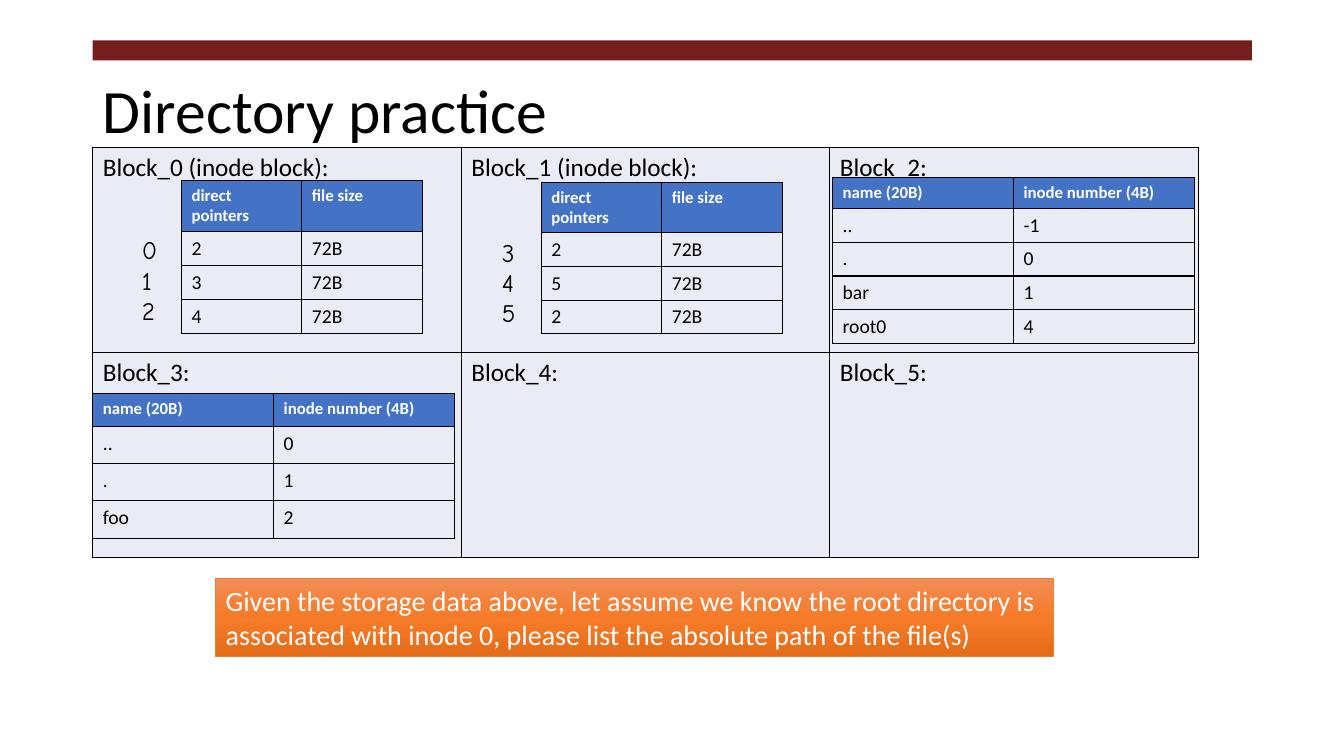
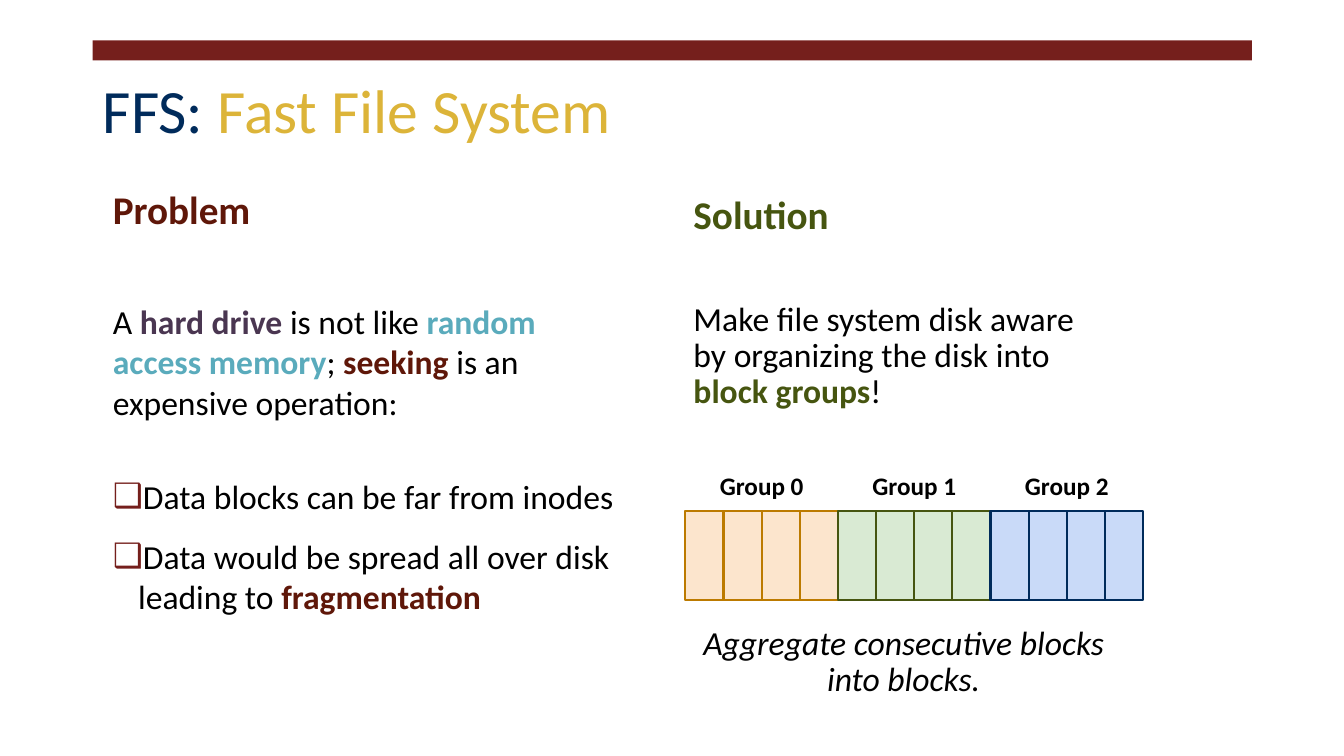
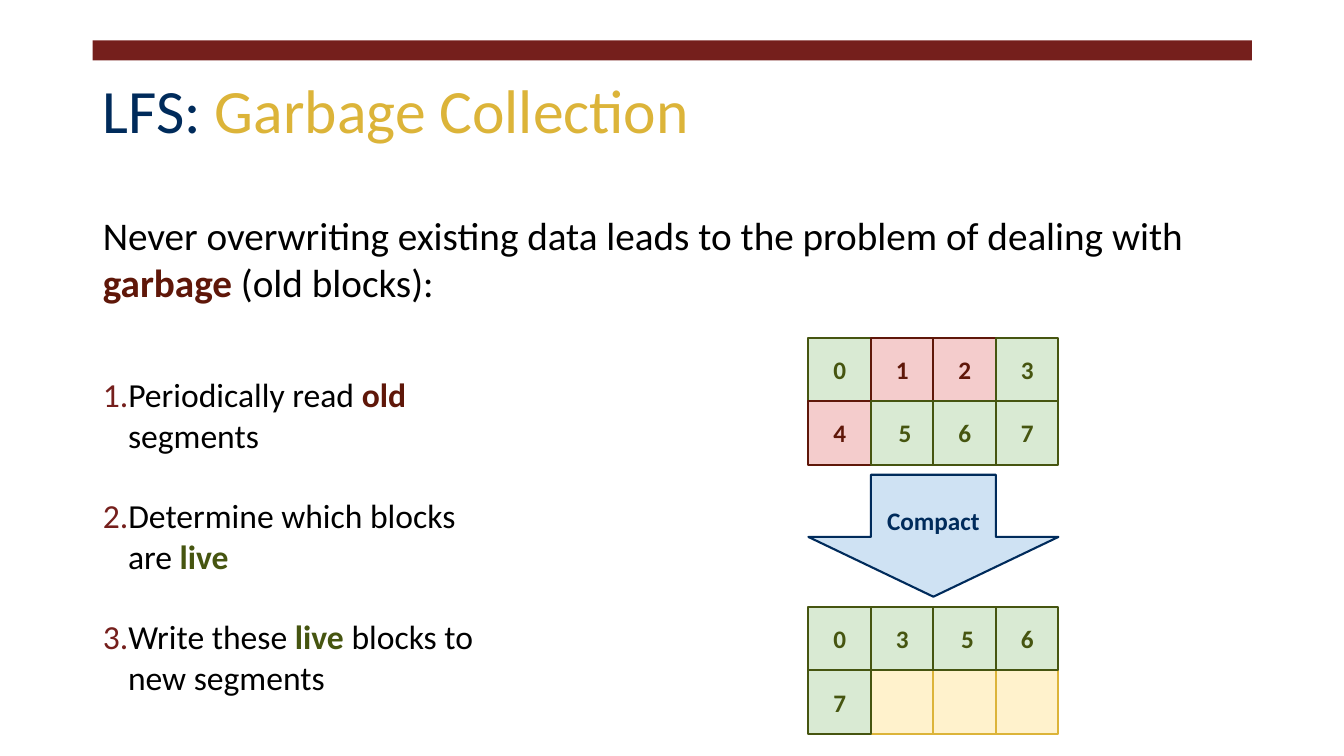
from copy import deepcopy
from dataclasses import dataclass

from lxml.etree import SubElement
from pptx import Presentation
from pptx.dml.color import RGBColor
from pptx.enum.shapes import MSO_SHAPE
from pptx.enum.text import MSO_ANCHOR, MSO_AUTO_SIZE, PP_ALIGN
from pptx.oxml.ns import qn
from pptx.util import Inches, Pt


@dataclass(frozen=True)
class Theme:
    font: str = "Calibri"
    index_font: str = "Comic Neue"
    title_size: int = 44
    heading_size: int = 28
    body_size: int = 24
    prompt_size: int = 20
    label_size: int = 18
    cell_size: int = 14
    header_size: int = 12
    text: str = "000000"
    white: str = "FFFFFF"
    band: str = "751F1C"
    navy: str = "002B5B"
    gold: str = "DCB439"
    red: str = "5F1709"
    green: str = "465510"
    purple: str = "4A3651"
    teal: str = "5AABBC"
    header_fill: str = "4472C4"
    cell_fill: str = "E9EBF5"
    prompt_line: str = "ED7D31"
    prompt_gradient: tuple = ((0, "F18C57"), (0.5, "F67B28"), (1, "E56C19"))
    orange_block: tuple = ("FCE5CD", "BC7A00")
    green_block: tuple = ("D9EAD3", "465510")
    blue_block: tuple = ("C9DAF8", "002B5B")
    dead_block: tuple = ("F4CCCC", "5F1709")
    free_block: tuple = ("FFF2CC", "DCB439")
    arrow: tuple = ("CFE2F3", "002B5B")


THEME = Theme()
EMPTY_LINE = THEME.body_size * 1.2
GAP = 10


def color(value):
    return RGBColor.from_string(value)


def place(shape, box):
    shape.left, shape.top, shape.width, shape.height = map(Inches, box)


def style_font(font, size, value=THEME.text, bold=False, name=THEME.font):
    font.name = name
    font.size = Pt(size)
    font.bold = bold
    font.color.rgb = color(value)


def set_bullet(paragraph, kind, **attributes):
    properties = paragraph._p.get_or_add_pPr()
    listed = kind != "buNone"
    properties.set("marL", str(Inches(0.25) if listed else 0))
    properties.set("indent", str(Inches(-0.42) if listed else 0))
    if listed:
        bullet_color = SubElement(properties, qn("a:buClr"))
        SubElement(bullet_color, qn("a:srgbClr"), val=THEME.band)
    SubElement(properties, qn(f"a:{kind}"), **attributes)


def add_parts(paragraph, parts):
    for part in parts:
        if part == "\n":
            paragraph.add_line_break()
        elif isinstance(part, str):
            paragraph.add_run().text = part
        else:
            run = paragraph.add_run()
            run.text, accent = part
            run.font.bold = True
            run.font.color.rgb = color(accent)


def write_body(placeholder, box, paragraphs, line_spacing=1.0):
    place(placeholder, box)
    frame = placeholder.text_frame
    frame.auto_size = MSO_AUTO_SIZE.NONE
    frame.vertical_anchor = MSO_ANCHOR.TOP
    frame.margin_top = frame.margin_bottom = Inches(0.1)
    for position, (parts, size, before, bullet) in enumerate(paragraphs):
        paragraph = frame.add_paragraph() if position else frame.paragraphs[0]
        set_bullet(paragraph, **bullet)
        paragraph.line_spacing = line_spacing
        paragraph.space_before = Pt(round(before, 1))
        style_font(paragraph.font, size)
        add_parts(paragraph, parts)
    return frame


PLAIN = {"kind": "buNone"}
BOX_BULLET = {"kind": "buChar", "char": "❑"}
NUMBERED = {"kind": "buAutoNum", "type": "arabicPeriod"}


def add_box(slide, box, palette, label="", preset=MSO_SHAPE.RECTANGLE):
    fill, line = palette
    shape = slide.shapes.add_shape(preset, *map(Inches, box))
    shape.shadow.inherit = False
    shape.fill.solid()
    shape.fill.fore_color.rgb = color(fill)
    shape.line.color.rgb = color(line)
    shape.line.width = Pt(1.5)
    if label:
        paragraph = shape.text_frame.paragraphs[0]
        paragraph.alignment = PP_ALIGN.CENTER
        paragraph.add_run().text = label
        style_font(paragraph.font, THEME.label_size, line, True)
    return shape


def add_label(slide, box, lines, anchor=MSO_ANCHOR.TOP, align=PP_ALIGN.LEFT, **font):
    frame = slide.shapes.add_textbox(*map(Inches, box)).text_frame
    frame.word_wrap = True
    frame.vertical_anchor = anchor
    frame.text = "\n".join(lines)
    for paragraph in frame.paragraphs:
        paragraph.alignment = align
        style_font(paragraph.font, THEME.label_size, **font)


def format_cell(cell, text, fill, size, value=THEME.text, bold=False):
    cell.text = text
    cell.fill.solid()
    cell.fill.fore_color.rgb = color(fill)
    style_font(cell.text_frame.paragraphs[0].font, size, value, bold)
    properties = cell._tc.get_or_add_tcPr()
    for position, side in enumerate(("lnL", "lnR", "lnT", "lnB")):
        border = SubElement(properties, qn(f"a:{side}"), w=str(Pt(1)))
        solid = SubElement(border, qn("a:solidFill"))
        SubElement(solid, qn("a:srgbClr"), val=THEME.text)
        properties.insert(position, border)


def add_grid(slide, left, top, width, row_heights, rows, size, has_header=True):
    columns = len(rows[0])
    frame = slide.shapes.add_table(
        len(rows), columns, Inches(left), Inches(top),
        Inches(width), Inches(sum(row_heights)))
    table = frame.table
    table.first_row = has_header
    table.horz_banding = False
    for column in table.columns:
        column.width = Inches(width / columns)
    for row_index, values in enumerate(rows):
        table.rows[row_index].height = Inches(row_heights[row_index])
        for column_index, text in enumerate(values):
            cell = table.cell(row_index, column_index)
            if has_header and row_index == 0:
                format_cell(cell, text, THEME.header_fill, THEME.header_size, THEME.white, True)
            else:
                format_cell(cell, text, THEME.cell_fill, size)


def add_inode_table(slide, left, top, pointers, first_inode):
    rows = [("direct pointers", "file size")] + [(pointer, "72B") for pointer in pointers]
    add_grid(slide, left, top, 2.39, [0.5] + [0.33] * len(pointers), rows, THEME.cell_size)
    numbers = [str(first_inode + offset) for offset in range(len(pointers))]
    add_label(slide, (left - 0.49, top + 0.49, 0.37, 1.01), numbers, name=THEME.index_font)


def add_directory_table(slide, left, top, header_height, row_height, entries):
    rows = [("name (20B)", "inode number (4B)")] + entries
    heights = [header_height] + [row_height] * len(entries)
    add_grid(slide, left, top, 3.59, heights, rows, THEME.cell_size)


def add_prompt(slide, box, text):
    shape = add_box(slide, box, (THEME.prompt_line, THEME.prompt_line))
    shape.line.width = Pt(0.5)
    shape.fill.gradient()
    shape.fill.gradient_angle = 270
    stop_list = shape.element.find(".//" + qn("a:gsLst"))
    stop_list.append(deepcopy(stop_list[-1]))
    for stop, (position, value) in zip(shape.fill.gradient_stops, THEME.prompt_gradient):
        stop.position = position
        stop.color.rgb = color(value)
    frame = shape.text_frame
    frame.vertical_anchor = MSO_ANCHOR.TOP
    frame.text = text
    frame.paragraphs[0].alignment = PP_ALIGN.LEFT
    style_font(frame.paragraphs[0].font, THEME.prompt_size, THEME.white)


def add_block_groups(slide, left, top, total_width, height, palettes, blocks=4):
    group_width = total_width / len(palettes)
    width = group_width / blocks
    for group, palette in enumerate(palettes):
        group_left = left + group * group_width
        for block in range(blocks):
            add_box(slide, (group_left + block * width, top, width, height), palette)
        add_label(slide, (group_left, top - 0.5, group_width, 0.5), [f"Group {group}"],
                  MSO_ANCHOR.MIDDLE, PP_ALIGN.CENTER, bold=True)


def add_segments(slide, left, top, blocks, columns=4, width=0.62, height=0.63):
    placed = enumerate(blocks)
    for index, (label, palette) in sorted(placed, key=lambda item: item[1][0] != ""):
        row, column = divmod(index, columns)
        box = (left + column * width, top + row * height, width, height)
        add_box(slide, box, palette, label)


def add_compaction(slide, left, top):
    dead = ("1", "2", "4")
    before = ("0", "1", "2", "3", "4", " 5", "6", "7")
    after = ("0", "3", " 5", "6", "7", "", "", "")
    add_segments(slide, left, top, [
        (label, THEME.dead_block if label in dead else THEME.green_block) for label in before])
    arrow = add_box(slide, (left, top + 1.36, 2.48, 1.21), THEME.arrow, "Compact",
                    MSO_SHAPE.DOWN_ARROW)
    arrow.adjustments[0] = 0.5
    arrow.adjustments[1] = 0.49
    add_segments(slide, left, top + 2.67, [
        (label, THEME.green_block if label else THEME.free_block) for label in after])


def add_slide(presentation, layout, *title_parts):
    slide = presentation.slides.add_slide(presentation.slide_layouts.get_by_name(layout))
    band = add_box(slide, (0.92, 0.4, 11.5, 0.2), (THEME.band, THEME.band))
    band.line.fill.background()
    title = slide.shapes.title
    place(title, (0.92, 0.4, 11.5, 1.45))
    title.text_frame.auto_size = MSO_AUTO_SIZE.NONE
    title.text_frame.vertical_anchor = MSO_ANCHOR.MIDDLE
    paragraph = title.text_frame.paragraphs[0]
    paragraph.alignment = PP_ALIGN.LEFT
    paragraph.line_spacing = 0.9
    style_font(paragraph.font, THEME.title_size)
    for text, value in title_parts:
        run = paragraph.add_run()
        run.text = text
        run.font.color.rgb = color(value)
    return slide


def build_directory_practice(presentation):
    slide = add_slide(presentation, "Title Only", ("Directory practice", THEME.text))
    blocks = [("Block_0 (inode block):", "Block_1 (inode block):", "Block_2:"),
              ("Block_3:", "Block_4:", "Block_5:")]
    add_grid(slide, 0.92, 1.46, 10.97, [4.07 / 2] * 2, blocks, THEME.label_size, False)
    add_inode_table(slide, 1.8, 1.79, ("2", "3", "4"), 0)
    add_inode_table(slide, 5.37, 1.81, ("2", "5", "2"), 3)
    add_directory_table(slide, 8.26, 1.76, 0.31, 0.33, [
        ("..", "-1"), (".", "0"), ("bar", "1"), ("root0", "4")])
    add_directory_table(slide, 0.92, 3.9, 0.33, 0.37, [
        ("..", "0"), (".", "1"), ("foo", "2")])
    add_prompt(slide, (2.14, 5.74, 8.31, 0.77),
               "Given the storage data above, let assume we know the root directory is "
               "associated with inode 0, please list the absolute path of the file(s)")


def build_fast_file_system(presentation):
    slide = add_slide(presentation, "Two Content",
                      ("FFS: ", THEME.navy), ("Fast File System", THEME.gold))
    size = THEME.body_size
    write_body(slide.placeholders[1], (1.02, 1.74, 5.27, 5.35), [
        ([("Problem", THEME.red)], THEME.heading_size, GAP, PLAIN),
        (["A ", ("hard drive", THEME.purple), " is not like ",
          ("random access memory", THEME.teal), "; ", ("seeking", THEME.red),
          " is an expensive operation:"], size, 2 * GAP + EMPTY_LINE, PLAIN),
        (["Data blocks can be far from inodes"], size, GAP + EMPTY_LINE, BOX_BULLET),
        (["Data would be spread all over disk leading to ", ("fragmentation", THEME.red)],
         size, 14, BOX_BULLET)])
    spacing = 0.9
    skipped = GAP + spacing * EMPTY_LINE
    frame = write_body(slide.placeholders[2], (6.78, 1.84, 4.37, 5.43), [
        ([("Solution", THEME.green)], THEME.heading_size, GAP, PLAIN),
        (["Make file system disk aware by organizing the disk into ",
          ("block groups", THEME.green), "!"], size, GAP + skipped, PLAIN),
        (["Aggregate consecutive blocks into blocks."], size, GAP + 4 * skipped, PLAIN),
    ], spacing)
    caption = frame.paragraphs[-1]
    caption.alignment = PP_ALIGN.CENTER
    caption.font.italic = True
    add_block_groups(slide, 6.8, 5.07, 4.54, 0.88,
                     (THEME.orange_block, THEME.green_block, THEME.blue_block))


def build_garbage_collection(presentation):
    slide = add_slide(presentation, "Title and Content",
                      ("LFS: ", THEME.navy), ("Garbage Collection", THEME.gold))
    size = THEME.body_size
    write_body(slide.placeholders[1], (0.92, 2, 11.5, 5.35), [
        (["Never overwriting existing data leads to the problem of dealing with ",
          ("garbage", THEME.red), " (old blocks):"], THEME.heading_size, GAP, PLAIN),
        (["Periodically read ", ("old", THEME.red), "\n", "segments"],
         size, 2 * GAP + EMPTY_LINE, NUMBERED),
        (["Determine which blocks", "\n", "are ", ("live", THEME.green)],
         size, EMPTY_LINE, NUMBERED),
        (["Write these ", ("live", THEME.green), " blocks to", "\n", "new segments"],
         size, EMPTY_LINE, NUMBERED)])
    add_compaction(slide, 8.02, 3.35)


def main():
    presentation = Presentation()
    presentation.slide_width = Inches(40 / 3)
    presentation.slide_height = Inches(7.5)
    build_directory_practice(presentation)
    build_fast_file_system(presentation)
    build_garbage_collection(presentation)
    presentation.save("out.pptx")


if __name__ == "__main__":
    main()
